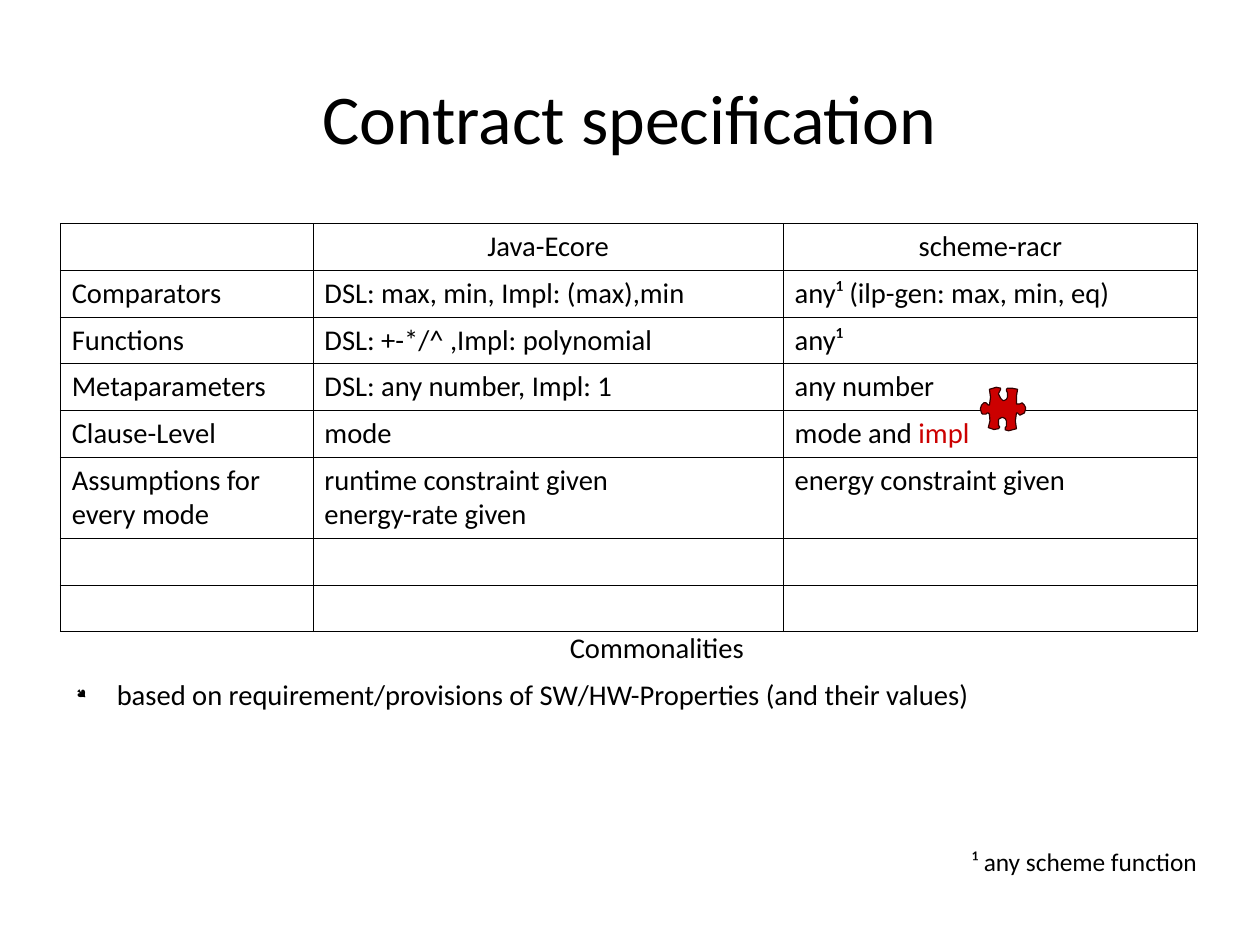
from dataclasses import dataclass

from lxml.etree import SubElement
from pptx import Presentation
from pptx.dml.color import RGBColor
from pptx.enum.text import MSO_ANCHOR as Anchor, PP_ALIGN as Align
from pptx.oxml.ns import qn
from pptx.util import Pt


@dataclass(frozen=True)
class Theme:
    font: str = "Calibri"
    bullet_font: str = "Wingdings"
    ink: str = "000000"
    accent: str = "CC0000"
    accent_edge: str = "330000"
    title: float = 44
    body: float = 18
    note: float = 16
    rule: float = 0.57


@dataclass(frozen=True)
class Span:
    text: str
    color: str


@dataclass(frozen=True)
class Box:
    left: float
    top: float
    width: float
    height: float


THEME = Theme()
SLIDE_WIDTH, SLIDE_HEIGHT = 793.7, 595.28
TITLE_BOX = Box(39.6, 23.8, 714.4, 99.4)
COMMON_BOX = Box(39.6, 396.7, 714.4, 136.1)
NOTE_BOX = Box(39.6, 532.8, 714.4, 33.8)
TABLE_BOX = Box(38, 141, 716.3, 257)
COLUMN_WIDTHS = (159.2, 296.2, 260.9)
ROW_HEIGHT, ASSUMPTIONS_HEIGHT, ASSUMPTIONS_ROW = 29.4, 51.2, 5
BODY_INDENT, BULLET_HANG, PARAGRAPH_GAP = 34, 25.5, 7.9

# Each cell is a list of paragraphs; each paragraph is a text or a list of spans.
COMPARISON = [
    [[], ["Java-Ecore"], ["scheme-racr"]],
    [["Comparators"], ["DSL: max, min, Impl: (max),min"], ["any¹ (ilp-gen: max, min, eq)"]],
    [["Functions"], ["DSL: +-*/^ ,Impl: polynomial"], ["any¹"]],
    [["Metaparameters"], ["DSL: any number, Impl: 1"], ["any number"]],
    [["Clause-Level"], ["mode"],
     [[Span("mode and ", THEME.ink), Span("impl", THEME.accent)]]],
    [["Assumptions for every mode"],
     ["runtime constraint given", "energy-rate given"], ["energy constraint given"]],
    [[], [], []],
    [[], [], []],
]

# Puzzle outline on a grid of 0.72 pt, from its own top left corner.
PUZZLE_LEFT, PUZZLE_TOP, PUZZLE_UNIT = 617.6, 243.8, 0.71
PUZZLE = [
    (7, 36), (12, 37.7), (16, 37), (17, 36), (17, 35), (16, 34), (16, 29), (17, 28),
    (19, 27), (20, 27), (22, 28), (23, 30), (23, 35), (22, 36), (22, 38), (25, 38.8),
    (32, 37), (31, 30), (32, 23), (33, 23), (35, 25), (37, 24), (39, 23), (40, 20),
    (40, 18), (39, 16), (38, 15), (37, 14), (35, 15), (33, 15), (32, 15), (32, 8),
    (33, 2), (28, 1), (24, 1), (23, 2), (23, 3), (24, 5), (24, 9), (23, 11), (21, 12),
    (20, 12), (18, 10), (17, 8), (16, 6), (17, 4), (18, 2), (18, 1), (14, 0.2), (8, 2),
    (9, 9), (8, 16), (7, 16), (5, 14), (3, 14), (1, 16), (0, 19), (0, 20), (1, 23),
    (2, 24), (3, 24), (5, 24), (6, 23), (7, 23), (8, 24), (8.5, 30),
]


def write(paragraph, content, *, size: float = THEME.body, align=Align.LEFT,
          indent: float = 0, hang: float = 0, after: float = 0, bullet: str = "") -> None:
    """Fill one paragraph; content is a text or a list of spans."""
    properties = paragraph._p.get_or_add_pPr()
    properties.set("marL", str(Pt(indent)))
    properties.set("indent", str(-Pt(hang)))
    paragraph.alignment = align
    paragraph.space_after = Pt(after)
    if bullet:
        bullet_color = SubElement(properties, qn("a:buClr"))
        SubElement(bullet_color, qn("a:srgbClr"), val=THEME.ink)
        SubElement(properties, qn("a:buSzPct"), val="45000")
        SubElement(properties, qn("a:buFont"), typeface=THEME.bullet_font, charset="2")
        SubElement(properties, qn("a:buChar"), char=bullet)
    spans = [Span(content, THEME.ink)] if isinstance(content, str) else content
    for span in spans:
        run = paragraph.add_run()
        run.text = span.text
        run.font.name = THEME.font
        run.font.size = Pt(size)
        run.font.color.rgb = RGBColor.from_string(span.color)


def add_text_frame(slide, box: Box, anchor=Anchor.TOP):
    frame = slide.shapes.add_textbox(
        Pt(box.left), Pt(box.top), Pt(box.width), Pt(box.height)).text_frame
    frame.word_wrap = True
    frame.vertical_anchor = anchor
    frame.margin_left = frame.margin_right = frame.margin_top = frame.margin_bottom = 0
    return frame


def rule_cell(cell) -> None:
    """Draw all four borders and clear the fill of a table cell."""
    properties = cell._tc.get_or_add_tcPr()
    for side in ("lnL", "lnR", "lnT", "lnB"):
        border = SubElement(properties, qn(f"a:{side}"), w=str(Pt(THEME.rule)))
        SubElement(SubElement(border, qn("a:solidFill")), qn("a:srgbClr"), val=THEME.ink)
    cell.fill.background()


def add_comparison(slide) -> None:
    table = slide.shapes.add_table(
        len(COMPARISON), len(COLUMN_WIDTHS), Pt(TABLE_BOX.left), Pt(TABLE_BOX.top),
        Pt(TABLE_BOX.width), Pt(TABLE_BOX.height)).table
    table.first_row = table.horz_banding = False
    for column, width in zip(table.columns, COLUMN_WIDTHS):
        column.width = Pt(width)
    for index, (row, contents) in enumerate(zip(table.rows, COMPARISON)):
        row.height = Pt(ASSUMPTIONS_HEIGHT if index == ASSUMPTIONS_ROW else ROW_HEIGHT)
        align = Align.CENTER if index == 0 else Align.LEFT
        for cell, paragraphs in zip(row.cells, contents):
            rule_cell(cell)
            frame = cell.text_frame
            for position, content in enumerate(paragraphs):
                paragraph = frame.add_paragraph() if position else frame.paragraphs[0]
                write(paragraph, content, align=align)


def add_puzzle_piece(slide) -> None:
    outline = [(Pt(x * PUZZLE_UNIT), Pt(y * PUZZLE_UNIT)) for x, y in PUZZLE]
    builder = slide.shapes.build_freeform(*outline[0])
    builder.add_line_segments(outline[1:], close=True)
    piece = builder.convert_to_shape(Pt(PUZZLE_LEFT), Pt(PUZZLE_TOP))
    piece.shadow.inherit = False
    piece.fill.solid()
    piece.fill.fore_color.rgb = RGBColor.from_string(THEME.accent)
    piece.line.color.rgb = RGBColor.from_string(THEME.accent_edge)
    piece.line.width = Pt(0)


def main() -> None:
    deck = Presentation()
    deck.slide_width, deck.slide_height = Pt(SLIDE_WIDTH), Pt(SLIDE_HEIGHT)
    slide = deck.slides.add_slide(deck.slide_layouts[6])

    title = add_text_frame(slide, TITLE_BOX, Anchor.MIDDLE)
    write(title.paragraphs[0], "Contract specification", size=THEME.title, align=Align.CENTER)

    commonalities = add_text_frame(slide, COMMON_BOX)
    write(commonalities.paragraphs[0], "Commonalities", align=Align.CENTER,
          indent=BODY_INDENT, after=PARAGRAPH_GAP)
    write(commonalities.add_paragraph(),
          "based on requirement/provisions of SW/HW-Properties (and their values)",
          indent=BODY_INDENT, hang=BULLET_HANG, after=PARAGRAPH_GAP, bullet="●")

    add_comparison(slide)

    footnote = add_text_frame(slide, NOTE_BOX)
    write(footnote.paragraphs[0], "¹ any scheme function", size=THEME.note,
          align=Align.RIGHT, indent=BODY_INDENT, after=PARAGRAPH_GAP)

    add_puzzle_piece(slide)
    deck.save("out.pptx")


if __name__ == "__main__":
    main()
